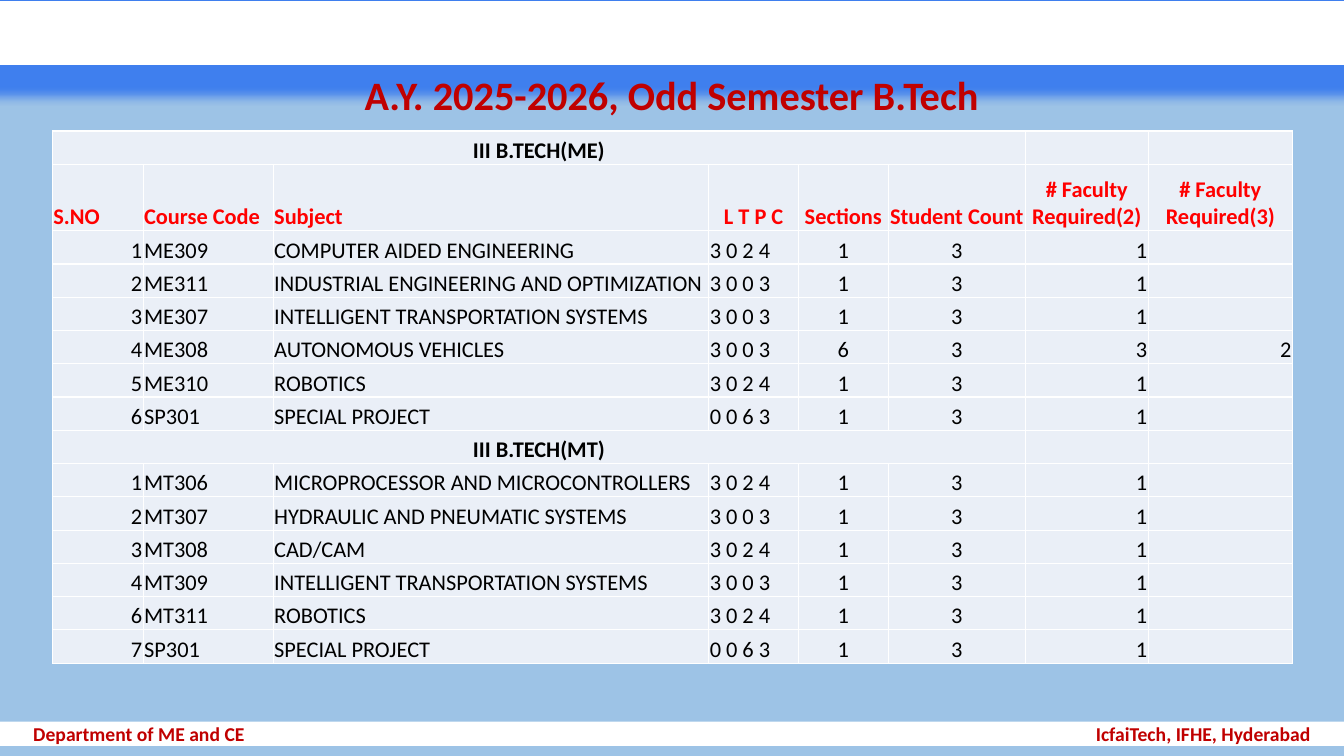
from dataclasses import dataclass

from lxml import etree
from pptx import Presentation
from pptx import util as u
from pptx.dml.color import RGBColor
from pptx.enum import shapes, text
from pptx.oxml import ns

LEFT, CENTER, RIGHT = text.PP_ALIGN.LEFT, text.PP_ALIGN.CENTER, text.PP_ALIGN.RIGHT


@dataclass(frozen=True)
class Theme:
    """Colours, font and type sizes of the slide."""
    font: str = "Calibri"
    background: str = "9DC3E6"
    white: str = "FFFFFF"
    glow: str = "3F7FEE"
    cell: str = "EAEFF7"
    title: str = "C00000"
    header: str = "FF0000"
    body: str = "000000"
    title_size: float = 28.8
    table_size: float = 16
    footer_size: float = 14


def child(parent, tag, **attrs):
    """Append a DrawingML element to parent."""
    return etree.SubElement(parent, ns.qn(f"a:{tag}"), attrs)


class SlideBuilder:
    """Draws the elements of one slide in a theme."""

    def __init__(self, slide, theme):
        self.s, self.theme = slide, theme
        fill = slide.background.fill
        fill.solid()
        fill.fore_color.rgb = RGBColor.from_string(theme.background)

    def style(self, p, size, color, bold=True, align=CENTER):
        """Set the font and alignment of a paragraph."""
        p.alignment = align
        p.font.name, p.font.size, p.font.bold = self.theme.font, u.Pt(size), bold
        p.font.color.rgb = RGBColor.from_string(color)

    def title(self, words, left, top, width, height):
        """Add the centred heading."""
        tf = self.s.shapes.add_textbox(*map(u.Inches, (left, top, width, height))).text_frame
        tf.word_wrap = True
        tf.vertical_anchor = text.MSO_ANCHOR.MIDDLE
        p = tf.paragraphs[0]
        p.text, p.line_spacing = words, 0.9
        self.style(p, self.theme.title_size, self.theme.title)

    def band(self, top, height):
        """Add a white band across the slide."""
        sp = self.s.shapes.add_shape(shapes.MSO_SHAPE.RECTANGLE, 0, u.Inches(top),
                                     u.Inches(13.33), u.Inches(height))
        sp.shadow.inherit = False
        sp.fill.solid()
        sp.fill.fore_color.rgb = RGBColor.from_string(self.theme.white)
        sp.line.fill.background()
        return sp

    def header_band(self, top, height, radius):
        """Add the outlined top band with a blue glow."""
        sp = self.band(top, height)
        sp.line.color.rgb = RGBColor.from_string(self.theme.white)
        sp.line.width = u.Pt(1)
        effects = sp._element.spPr.find(ns.qn("a:effectLst"))
        glow = child(effects, "glow", rad=str(u.Inches(radius)))
        child(glow, "srgbClr", val=self.theme.glow)

    def footer(self, left_words, right_words, top, height, margin):
        """Add the bottom band with words at both ends."""
        tf = self.band(top, height).text_frame
        tf.word_wrap = True
        tf.vertical_anchor = text.MSO_ANCHOR.MIDDLE
        tf.margin_left = tf.margin_right = u.Inches(margin)
        tf.margin_top = tf.margin_bottom = 0
        p = tf.paragraphs[0]
        p.text = f"{left_words}\t{right_words}"
        tabs = child(p._p.get_or_add_pPr(), "tabLst")
        child(tabs, "tab", pos=str(u.Inches(13.33 - 2 * margin)), algn="r")
        self.style(p, self.theme.footer_size, self.theme.title, align=LEFT)

    def cell(self, cell, words, **style):
        """Fill one table cell and draw its borders."""
        cell.margin_left = cell.margin_right = cell.margin_top = u.Inches(0.01)
        cell.margin_bottom = 0
        cell.vertical_anchor = text.MSO_ANCHOR.BOTTOM
        tc_pr = cell._tc.get_or_add_tcPr()
        for side in ("lnL", "lnR", "lnT", "lnB"):
            line = child(tc_pr, side, w=str(u.Pt(1)))
            child(child(line, "solidFill"), "srgbClr", val=self.theme.white)
        cell.fill.solid()
        cell.fill.fore_color.rgb = RGBColor.from_string(self.theme.cell)
        p = cell.text_frame.paragraphs[0]
        p.text = words
        self.style(p, self.theme.table_size, **style)

    def table(self, header, sections, widths, left, top, row_height):
        """Add the course table, one heading row for each section."""
        rows = []
        for name, courses in sections.items():
            rows.append(("section", [name] + [""] * (len(header) - 1)))
            if len(rows) == 1:
                rows.append(("header", header))
            rows += [("course", course) for course in courses]
        size = sum(widths), row_height * (len(rows) + 1)
        tbl = self.s.shapes.add_table(len(rows), len(header),
                                      *map(u.Inches, (left, top, *size))).table
        tbl.first_row = tbl.horz_banding = False
        for column, width in zip(tbl.columns, widths):
            column.width = u.Inches(width)
        aligns = {"section": [CENTER] * 8,
                  "header": [LEFT] * 3 + [CENTER] * 5,
                  "course": [RIGHT] + [LEFT] * 3 + [CENTER] * 2 + [RIGHT] * 2}
        for i, (kind, values) in enumerate(rows):
            tbl.rows[i].height = u.Inches(row_height * (2 if kind == "header" else 1))
            color = self.theme.header if kind == "header" else self.theme.body
            for j, (words, align) in enumerate(zip(values, aligns[kind])):
                self.cell(tbl.cell(i, j), words, color=color,
                          bold=kind != "course", align=align)
            if kind == "section":
                tbl.cell(i, 0).merge(tbl.cell(i, 5))


HEADER = ["S.NO", "Course Code", "Subject", "L T P C", "Sections", "Student Count",
          "# Faculty Required(2)", "# Faculty Required(3)"]


def course(number, code, subject, credits, sections="1", faculty2="1", faculty3=""):
    """Return one course row; every course has a student count of 3."""
    return [number, code, subject, credits, sections, "3", faculty2, faculty3]


SECTIONS = {
    "III B.TECH(ME)": [
        course("1", "ME309", "COMPUTER AIDED ENGINEERING", "3 0 2 4"),
        course("2", "ME311", "INDUSTRIAL ENGINEERING AND OPTIMIZATION", "3 0 0 3"),
        course("3", "ME307", "INTELLIGENT TRANSPORTATION SYSTEMS", "3 0 0 3"),
        course("4", "ME308", "AUTONOMOUS VEHICLES", "3 0 0 3", "6", "3", "2"),
        course("5", "ME310", "ROBOTICS", "3 0 2 4"),
        course("6", "SP301", "SPECIAL PROJECT", "0 0 6 3"),
    ],
    "III B.TECH(MT)": [
        course("1", "MT306", "MICROPROCESSOR AND MICROCONTROLLERS", "3 0 2 4"),
        course("2", "MT307", "HYDRAULIC AND PNEUMATIC SYSTEMS", "3 0 0 3"),
        course("3", "MT308", "CAD/CAM", "3 0 2 4"),
        course("4", "MT309", "INTELLIGENT TRANSPORTATION SYSTEMS", "3 0 0 3"),
        course("6", "MT311", "ROBOTICS", "3 0 2 4"),
        course("7", "SP301", "SPECIAL PROJECT", "0 0 6 3"),
    ],
}


def main():
    """Build the course load slide."""
    prs = Presentation()
    prs.slide_width, prs.slide_height = u.Inches(13.33), u.Inches(7.5)
    s = SlideBuilder(prs.slides.add_slide(prs.slide_layouts[6]), Theme())
    s.header_band(0.02, 0.62, radius=0.2)
    s.title("A.Y. 2025-2026, Odd Semester B.Tech", 0.1, 0.7, 13.13, 0.54)
    s.footer("Department of ME and CE", "IcfaiTech, IFHE, Hyderabad", 7.16, 0.24, margin=0.33)
    s.table(HEADER, SECTIONS, [0.9, 1.29, 4.32, 0.89, 0.89, 1.36, 1.22, 1.43],
            left=0.52, top=1.3, row_height=0.33)
    prs.save("out.pptx")


if __name__ == "__main__":
    main()
